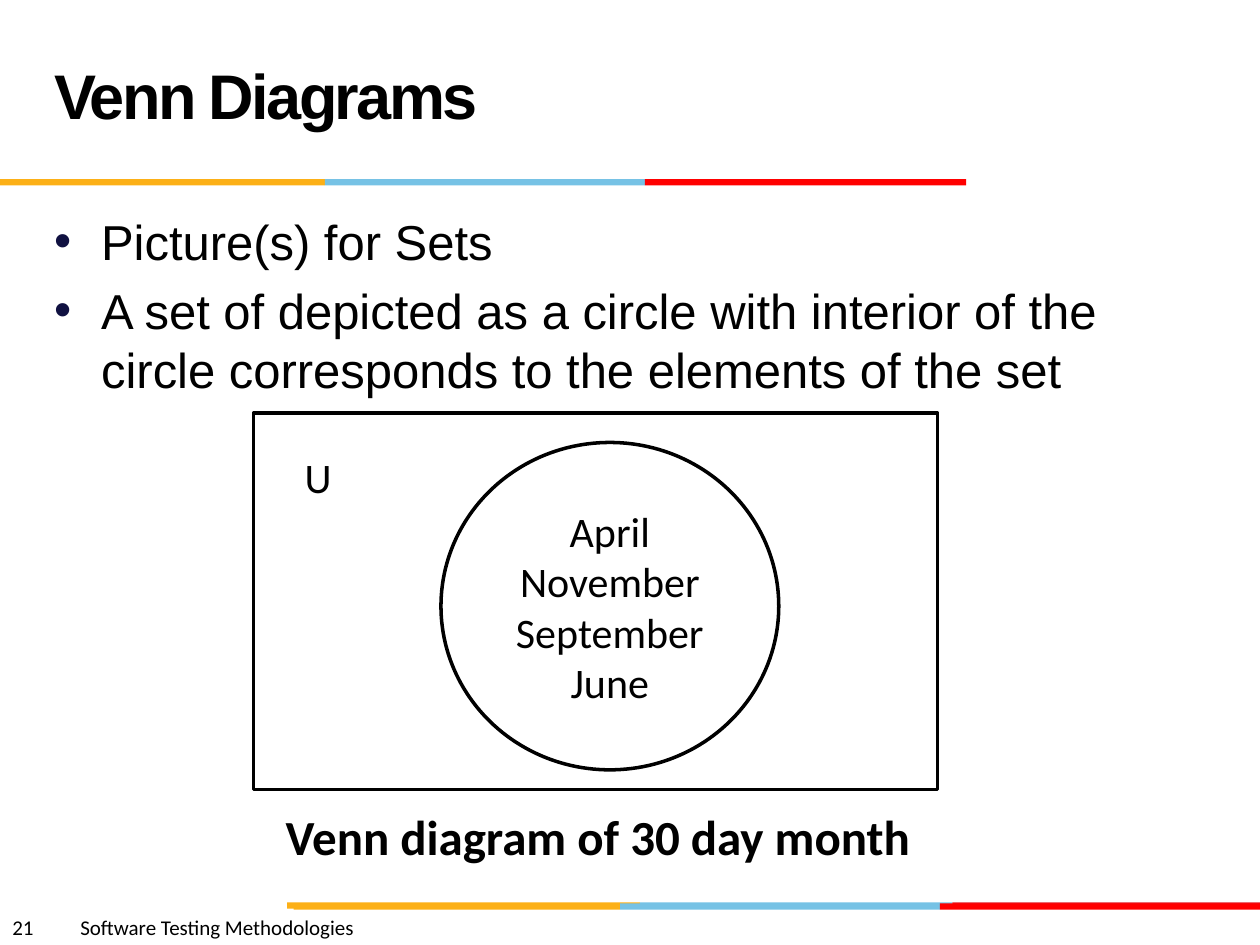
import pptx
import pptx.dml.color
import pptx.enum.shapes
import pptx.enum.text
import pptx.oxml.ns
import pptx.util
from lxml import etree

Cm, Pt = pptx.util.Cm, pptx.util.Pt
RGBColor = pptx.dml.color.RGBColor
SHAPE = pptx.enum.shapes.MSO_SHAPE
ALIGN = pptx.enum.text.PP_ALIGN
ANCHOR = pptx.enum.text.MSO_ANCHOR
qn = pptx.oxml.ns.qn

BLACK = RGBColor(0, 0, 0)
WHITE = RGBColor(255, 255, 255)
AMBER = RGBColor(0xFC, 0xB0, 0x17)
SKY = RGBColor(0x76, 0xC2, 0xE5)
CRIMSON = RGBColor(0xE3, 0x1C, 0x24)
RED = RGBColor(255, 0, 0)
NAVY = RGBColor(0x10, 0x11, 0x41)

# Content
TITLE = "Venn Diagrams"
POINTS = ["Picture(s) for Sets",
          "A set of depicted as a circle with interior of the circle "
          "corresponds to the elements of the set"]
MONTHS = ["April", "November", "September", "June"]
UNIVERSE = "U"
CAPTION = "Venn diagram of 30 day month"
FOOTER = "21\tSoftware Testing Methodologies"

# Colour strips: top, the four edges of three bars, their colours (cm)
STRIP_HEIGHT = 0.13
STRIPS = [(18.19, (5.79, 12.9, 19.2, 25.4), (AMBER, SKY, CRIMSON)),
          (18.21, (5.92, 12.5, 18.95, 25.4), (AMBER, SKY, RED)),
          (3.61, (0, 6.55, 13, 19.48), (AMBER, SKY, RED))]

deck = pptx.Presentation()
deck.slide_width, deck.slide_height = Cm(25.4), Cm(19.05)
page = deck.slides.add_slide(deck.slide_layouts[6])


def add_shape(kind, place, fill, outlined=False):
    shape = page.shapes.add_shape(kind, *map(Cm, place))
    shape.shadow.inherit = False
    shape.fill.solid()
    shape.fill.fore_color.rgb = fill
    if outlined:
        shape.line.color.rgb = BLACK
        shape.line.width = Pt(2)
    else:
        shape.line.fill.background()
    return shape


def write(shape, lines, font, frame=None, layout=None):
    for name, value in (frame or {}).items():
        setattr(shape.text_frame, name, value)
    shape.text_frame.text = "\n".join(lines)
    for para in shape.text_frame.paragraphs:
        for name, value in (layout or {}).items():
            setattr(para, name, value)
        for span in para.runs:
            span.font.color.rgb = BLACK
            for name, value in font.items():
                setattr(span.font, name, value)
    return shape.text_frame.paragraphs


def add_text(place, *details):
    return write(page.shapes.add_textbox(*map(Cm, place)), *details)


def add_bullet(para, hang):
    settings = para._p.get_or_add_pPr()
    settings.set("marL", str(hang))
    settings.set("indent", str(-hang))
    colour = etree.SubElement(settings, qn("a:buClr"))
    etree.SubElement(colour, qn("a:srgbClr"), val=str(NAVY))
    etree.SubElement(settings, qn("a:buFont"), typeface="Arial")
    etree.SubElement(settings, qn("a:buChar"), char="•")


# Colour strips
for top, edges, colours in STRIPS:
    for left, right, colour in zip(edges, edges[1:], colours):
        add_shape(SHAPE.RECTANGLE, (left, top, right - left, STRIP_HEIGHT), colour)

# Footer, with a tab stop between page number and course name
footer = add_text((0, 18.31, 12.7, 0.76), [FOOTER],
                  {"name": "Calibri", "size": Pt(12)}, {"word_wrap": True})[0]
tabs = etree.SubElement(footer._p.get_or_add_pPr(), qn("a:tabLst"))
etree.SubElement(tabs, qn("a:tab"), pos=str(Cm(1.37)), algn="l")

# Bullet points
for point in add_text((0.84, 4.14, 22.86, 12.57), POINTS,
                      {"name": "Arial", "size": Pt(28)}, {"word_wrap": True},
                      {"space_before": Pt(5.6)}):
    add_bullet(point, Cm(0.95))

# Title
title = add_text((0.84, 0.43, 17.58, 3.18), [TITLE],
                 {"name": "Arial", "size": Pt(36), "bold": True},
                 {"word_wrap": True, "vertical_anchor": ANCHOR.MIDDLE},
                 {"line_spacing": Pt(36)})[0]
title.runs[0].font._element.set("spc", "-150")

# Venn diagram
add_shape(SHAPE.RECTANGLE, (5.11, 8.33, 13.79, 7.59), WHITE, True)
circle = add_shape(SHAPE.OVAL, (8.89, 8.92, 6.81, 6.6), WHITE, True)
label_font = {"name": "Calibri", "size": Pt(24)}
write(circle, MONTHS, label_font, {"vertical_anchor": ANCHOR.MIDDLE},
      {"alignment": ALIGN.CENTER})
add_text((5.89, 8.97, 1.07, 1.27), [UNIVERSE], label_font, {"word_wrap": False})
add_text((5.51, 16.13, 13.23, 1.45), [CAPTION],
         {"name": "Calibri", "size": Pt(28), "bold": True}, {"word_wrap": False})

deck.save("out.pptx")
